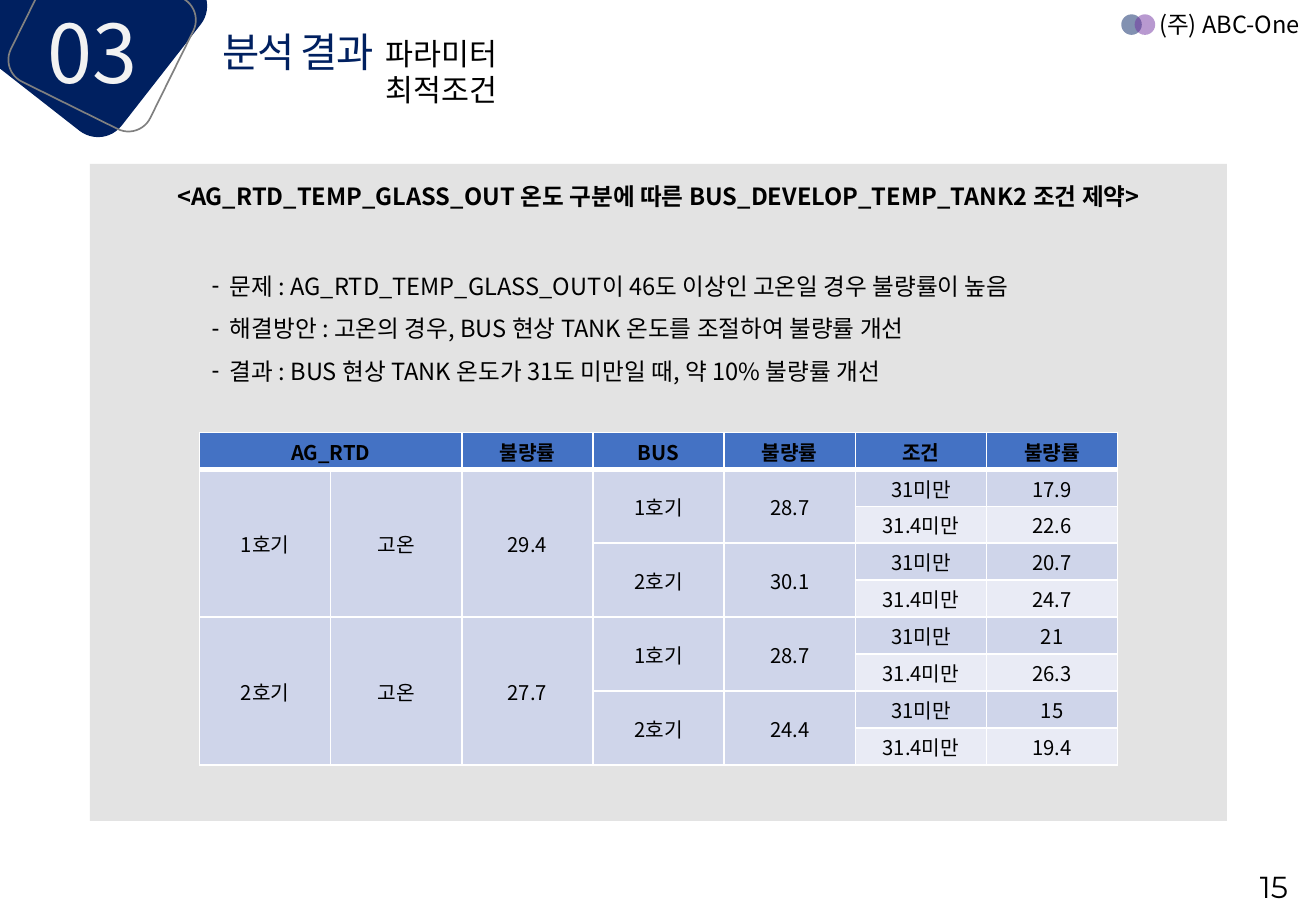
"""Build the slide on the best parameter settings, with its defect rate table."""
import lxml.etree
import pptx
import pptx.dml.color
import pptx.enum.shapes
import pptx.enum.text
import pptx.oxml.ns
import pptx.util

Cm = pptx.util.Cm
Pt = pptx.util.Pt
RGB = pptx.dml.color.RGBColor.from_string
Align = pptx.enum.text.PP_ALIGN
Anchor = pptx.enum.text.MSO_ANCHOR
Shape = pptx.enum.shapes.MSO_SHAPE


class Theme:
    face, digit = "Noto Sans CJK KR", "Montserrat"
    navy, purple, gray, panel = "002060", "7030A0", "808080", "A6A6A6"
    black, white, pale = "000000", "FFFFFF", "F2F2F2"
    head, band, light = "4472C4", "CFD5EA", "E9EBF5"
    huge, title, sub, body, cell = 48, 24, 18, 14, 12


def add(parent, tag, **attrs):
    return lxml.etree.SubElement(parent, pptx.oxml.ns.qn(tag), attrs)


def write(frame, text, size=Theme.body, color=Theme.black, face=Theme.face,
          bold=False, align=Align.LEFT, line=1, anchor=Anchor.TOP, track=0, bullet=None):
    frame.word_wrap = True
    frame.auto_size = pptx.enum.text.MSO_AUTO_SIZE.NONE
    frame.vertical_anchor = anchor
    for index, words in enumerate(text.split("\n")):
        para = frame.add_paragraph() if index else frame.paragraphs[0]
        para.alignment, para.line_spacing, para.space_before = align, line, Pt(0)
        if bullet:
            props = para._p.get_or_add_pPr()
            props.set("marL", str(Cm(0.38)))
            props.set("indent", str(Cm(-0.38)))
            add(props, "a:buChar", char=bullet)
        run = para.add_run()
        run.text = words
        run.font.size, run.font.bold = Pt(size), bold
        run.font.color.rgb = RGB(color)
        run.font.name = face
        props = run._r.get_or_add_rPr()
        add(props, "a:ea", typeface=face)
        if track:
            props.set("spc", str(track * 100))


deck = pptx.Presentation()
deck.slide_width, deck.slide_height = Cm(27.51), Cm(19.05)
slide = deck.slides.add_slide(deck.slide_layouts[1])
shapes = slide.shapes
title, body = shapes.title, slide.placeholders[1]

marks = [
    (Shape.ROUNDED_RECTANGLE, (-0.08, -1.47, 3.94, 3.76), 308, Theme.navy, 100),
    (Shape.ROUNDED_RECTANGLE, (0.61, -0.79, 3.05, 3.25), 296.3, None, 100),
    (Shape.OVAL, (23.44, 0.3, 0.43, 0.43), 0, Theme.navy, 49),
    (Shape.OVAL, (23.72, 0.3, 0.43, 0.43), 0, Theme.purple, 49),
    (Shape.RECTANGLE, (1.88, 3.43, 23.77, 13.74), 0, Theme.panel, 31),
]
for kind, place, turn, color, alpha in marks:
    mark = shapes.add_shape(kind, *map(Cm, place))
    mark.rotation = turn
    mark.shadow.inherit = False
    if color:
        mark.fill.solid()
        mark.fill.fore_color.rgb = RGB(color)
        mark.line.fill.background()
        if alpha < 100:
            tint = mark.element.spPr.find(".//" + pptx.oxml.ns.qn("a:srgbClr"))
            add(tint, "a:alpha", val=str(alpha * 1000))
    else:
        mark.fill.background()
        mark.line.color.rgb = RGB(Theme.gray)
        mark.line.width = Pt(1)
shapes.element.insert(2, mark.element)

title.left, title.top, title.width, title.height = map(Cm, (4.39, 0.43, 17.96, 1.27))
write(title.text_frame, "분석 결과", size=Theme.title, color=Theme.navy,
      anchor=Anchor.MIDDLE, track=-1)

body.left, body.top, body.width, body.height = map(Cm, (4.17, 5.05, 19.28, 3.33))
points = """문제 : AG_RTD_TEMP_GLASS_OUT이 46도 이상인 고온일 경우 불량률이 높음
해결방안 : 고온의 경우, BUS 현상 TANK 온도를 조절하여 불량률 개선
결과 : BUS 현상 TANK 온도가 31도 미만일 때, 약 10% 불량률 개선"""
write(body.text_frame, points, align=Align.JUSTIFY, line=1.5,
      anchor=Anchor.MIDDLE, bullet="-")

labels = [
    ("03", (0.74, -0.08, 2.95, 2.31), dict(size=Theme.huge, color=Theme.pale)),
    ("(주) ABC-One", (23.98, 0.08, 3.58, 0.86), dict(align=Align.JUSTIFY)),
    ("파라미터 최적조건", (7.82, 0.61, 5.08, 1.02), dict(size=Theme.sub)),
    ("<AG_RTD_TEMP_GLASS_OUT 온도 구분에 따른 BUS_DEVELOP_TEMP_TANK2 조건 제약>",
     (1.88, 3.53, 23.77, 1.22),
     dict(bold=True, align=Align.CENTER, line=0.9, anchor=Anchor.MIDDLE)),
    ("15", (26.09, 18.03, 1.4, 1.02), dict(size=Theme.sub, face=Theme.digit)),
]
for text, place, style in labels:
    write(shapes.add_textbox(*map(Cm, place)).text_frame, text, **style)

rows = [
    ["AG_RTD", "", "불량률", "BUS", "불량률", "조건", "불량률"],
    ["1호기", "고온", "29.4", "1호기", "28.7", "31미만", "17.9"],
    ["", "", "", "", "", "31.4미만", "22.6"],
    ["", "", "", "2호기", "30.1", "31미만", "20.7"],
    ["", "", "", "", "", "31.4미만", "24.7"],
    ["2호기", "고온", "27.7", "1호기", "28.7", "31미만", "21"],
    ["", "", "", "", "", "31.4미만", "26.3"],
    ["", "", "", "2호기", "24.4", "31미만", "15"],
    ["", "", "", "", "", "31.4미만", "19.4"],
]
table = shapes.add_table(len(rows), len(rows[0]), Cm(4.17), Cm(9.04),
                         Cm(19.2), Cm(6.88)).table
for row in table.rows:
    row.height = Cm(0.76)
for r, row in enumerate(rows):
    for c, text in enumerate(row):
        cell = table.cell(r, c)
        cell.vertical_anchor = Anchor.MIDDLE
        cell.margin_top = cell.margin_bottom = Cm(0.07)
        for side in "LRTB":
            thick = (r, side) in [(0, "B"), (1, "T")]
            edge = add(cell._tc.get_or_add_tcPr(), "a:ln" + side,
                       w=str(Pt(3 if thick else 1)))
            add(add(edge, "a:solidFill"), "a:srgbClr", val=Theme.white)
        cell.fill.solid()
        shade = Theme.light if c > 4 and r % 2 == 0 else Theme.band
        cell.fill.fore_color.rgb = RGB(shade if r else Theme.head)
        if text:
            write(cell.text_frame, text, size=Theme.cell, bold=r == 0,
                  align=Align.CENTER, line=1.03, anchor=None)
table.cell(0, 0).merge(table.cell(0, 1))
for c, span in enumerate([4, 4, 4, 2, 2]):
    for r in range(1, len(rows), span):
        table.cell(r, c).merge(table.cell(r + span - 1, c))

deck.save("out.pptx")
